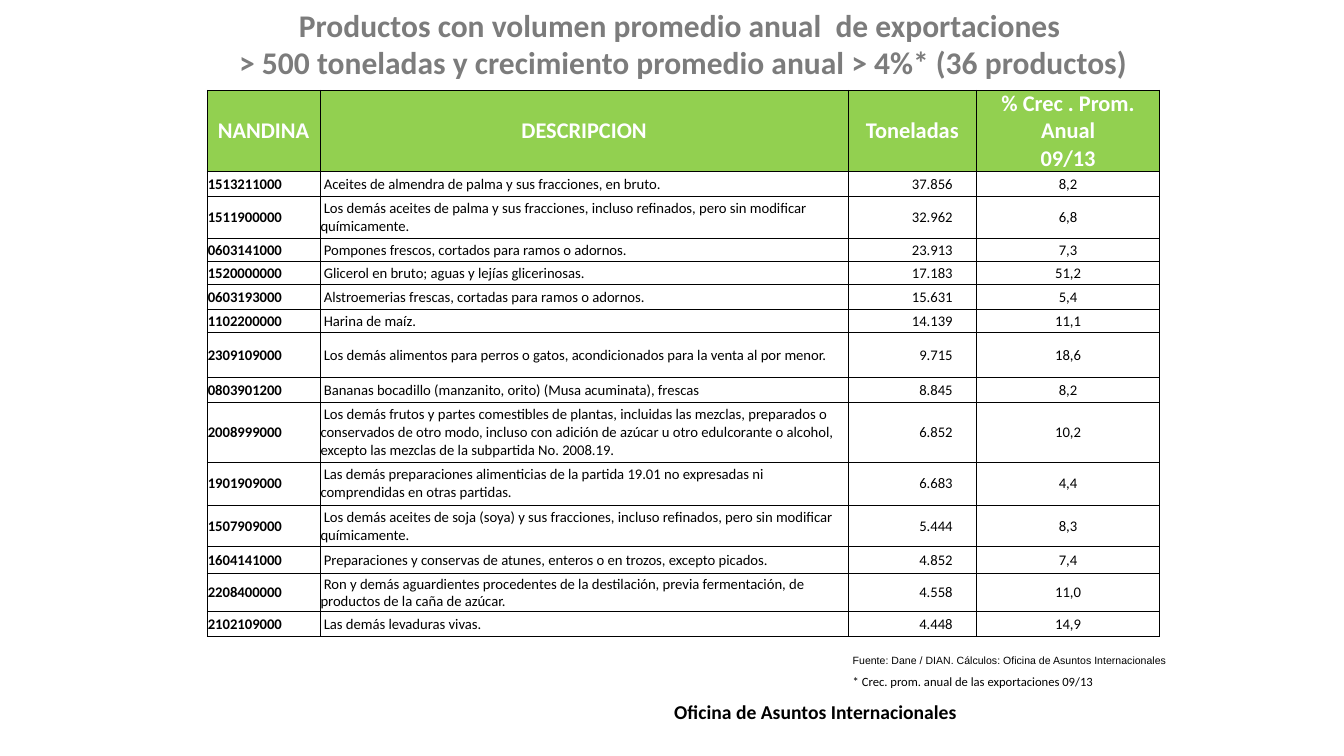
import pptx
import pptx.dml.color
import pptx.enum.text
import pptx.oxml
import pptx.oxml.ns
import pptx.util

Pt = pptx.util.Pt
RGBColor = pptx.dml.color.RGBColor
ALIGN = pptx.enum.text.PP_ALIGN
MIDDLE = pptx.enum.text.MSO_ANCHOR.MIDDLE
FIT = pptx.enum.text.MSO_AUTO_SIZE.SHAPE_TO_FIT_TEXT
GREY = RGBColor(0x7C, 0x7C, 0x7C)
GREEN = RGBColor(0x92, 0xD0, 0x50)
WHITE = RGBColor(0xFF, 0xFF, 0xFF)
BLACK = RGBColor(0x00, 0x00, 0x00)


def write(frame, text, size=10.5, font="Calibri", color=BLACK, bold=False, align=ALIGN.LEFT):
    for i, line in enumerate(text.split("\n")):
        para = frame.add_paragraph() if i else frame.paragraphs[0]
        para.alignment = align
        run = para.add_run()
        run.text = line
        run.font.size = Pt(size)
        run.font.name = font
        run.font.bold = bold
        run.font.color.rgb = color


def border(cell, shown):
    for side in "LRTB":
        ink = f'<a:solidFill><a:srgbClr val="{BLACK}"/></a:solidFill>' if side in shown else "<a:noFill/>"
        cell._tc.get_or_add_tcPr().append(pptx.oxml.parse_xml(
            f'<a:ln{side} {pptx.oxml.ns.nsdecls("a")} w="{Pt(0.5)}">{ink}</a:ln{side}>'))


deck = pptx.Presentation()
deck.slide_width, deck.slide_height = Pt(960), Pt(540)
slide = deck.slides.add_slide(deck.slide_layouts[5])

title = slide.shapes.title
title.left, title.top, title.width, title.height = Pt(162.5), Pt(0), Pt(651.5), Pt(62)
title.text_frame.word_wrap = True
title.text_frame.auto_size = FIT
write(title.text_frame,
      "Productos con volumen promedio anual  de exportaciones \n"
      "> 500 toneladas y crecimiento promedio anual > 4%* (36 productos) ",
      size=22.5, color=GREY, bold=True, align=ALIGN.CENTER)

heads = ["NANDINA", "DESCRIPCION", "Toneladas", "% Crec . Prom. Anual\n09/13"]
goods = [
    (18, "1513211000", "Aceites de almendra de palma y sus fracciones, en bruto.", "37.856", "8,2"),
    (29.5, "1511900000", "Los demás aceites de palma y sus fracciones, incluso refinados, "
     "pero sin modificar químicamente.", "32.962", "6,8"),
    (17, "0603141000", "Pompones frescos, cortados para ramos o adornos.", "23.913", "7,3"),
    (16.5, "1520000000", "Glicerol en bruto; aguas y lejías glicerinosas.", "17.183", "51,2"),
    (17.5, "0603193000", "Alstroemerias frescas, cortadas para ramos o adornos.", "15.631", "5,4"),
    (16.5, "1102200000", "Harina de maíz.", "14.139", "11,1"),
    (32, "2309109000", "Los demás alimentos para perros o gatos, acondicionados para la venta "
     "al por menor.", "9.715", "18,6"),
    (18, "0803901200", "Bananas bocadillo (manzanito, orito) (Musa acuminata), frescas", "8.845", "8,2"),
    (42.5, "2008999000", "Los demás frutos y partes comestibles de plantas, incluidas las mezclas, "
     "preparados o conservados de otro modo, incluso con adición de azúcar u otro edulcorante o "
     "alcohol, excepto las mezclas de la subpartida No. 2008.19.", "6.852", "10,2"),
    (31, "1901909000", "Las demás preparaciones alimenticias de la partida 19.01 no expresadas ni "
     "comprendidas en otras partidas.", "6.683", "4,4"),
    (29.5, "1507909000", "Los demás aceites de soja (soya) y sus fracciones, incluso refinados, "
     "pero sin modificar químicamente.", "5.444", "8,3"),
    (19.5, "1604141000", "Preparaciones y conservas de atunes, enteros o en trozos, excepto picados.",
     "4.852", "7,4"),
    (27, "2208400000", "Ron y demás aguardientes procedentes de la destilación, previa fermentación, "
     "de productos de la caña de azúcar.", "4.558", "11,0"),
    (18, "2102109000", "Las demás levaduras vivas.", "4.448", "14,9"),
]
wides = [80.5, 377.5, 91.5, 131]
highs = [12.5, 58] + [good[0] for good in goods]
aligns = [ALIGN.LEFT, ALIGN.LEFT, ALIGN.RIGHT, ALIGN.CENTER]

table = slide.shapes.add_table(len(highs), len(wides), Pt(148), Pt(52),
                               Pt(sum(wides)), Pt(sum(highs))).table
table.first_row = table.horz_banding = False
for col, wide in zip(table.columns, wides):
    col.width = Pt(wide)
for row, high in zip(table.rows, highs):
    row.height = Pt(high)

for r, row in enumerate(table.rows):
    for c, cell in enumerate(row.cells):
        cell.vertical_anchor = MIDDLE
        cell.margin_left = cell.margin_right = cell.margin_top = Pt(0.5 if r > 1 else 0)
        cell.margin_bottom = Pt(0)
        border(cell, "LRTB" if r else "B")
        if r == 1:
            cell.fill.solid()
            cell.fill.fore_color.rgb = GREEN
            write(cell.text_frame, heads[c], size=16, color=WHITE, bold=True, align=ALIGN.CENTER)
            continue
        cell.fill.background()
        if r == 0:
            cell.text_frame.paragraphs[0]._p.get_or_add_endParaRPr().set("sz", "800")
            continue
        text = goods[r - 2][c + 1]
        if c == 2:
            cell.margin_right = Pt(17)
        write(cell.text_frame, " " + text if c == 1 else text, bold=c == 0, align=aligns[c])
table.cell(0, 0).merge(table.cell(0, 3))

notes = [
    (602, 463.5, 238.5, 16.5, False, "Fuente: Dane / DIAN. Cálculos: Oficina de Asuntos Internacionales",
     dict(size=7.5, font="Arial")),
    (602, 478, 189.5, 18, False, "* Crec. prom. anual de las exportaciones 09/13", dict(size=9)),
    (474.5, 496.5, 283.5, 24.5, True, "Oficina de Asuntos Internacionales", dict(size=14, bold=True)),
]
for left, top, wide, high, wrap, text, style in notes:
    frame = slide.shapes.add_textbox(Pt(left), Pt(top), Pt(wide), Pt(high)).text_frame
    frame.word_wrap = wrap
    frame.auto_size = FIT
    write(frame, text, **style)

deck.save("out.pptx")
